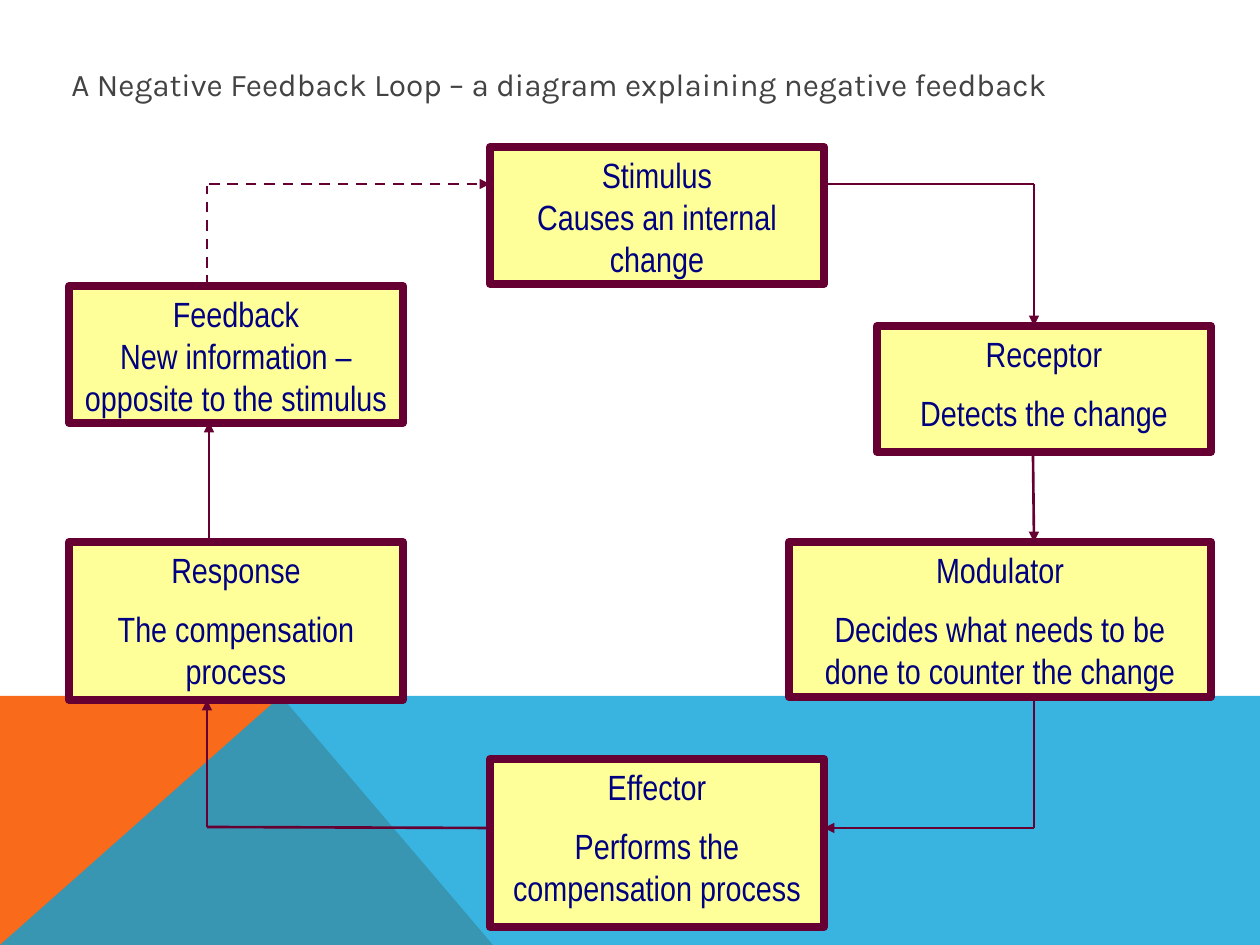
import pptx
import pptx.dml.color
import pptx.enum.dml
import pptx.enum.shapes
import pptx.enum.text
import pptx.oxml
import pptx.oxml.ns
import pptx.util
from dataclasses import dataclass
from lxml import etree


@dataclass(frozen=True)
class Theme:
    orange: str = "F96A1B"
    blue: str = "08A1D9"
    box_fill: str = "FFFF99"
    maroon: str = "660033"
    navy: str = "000080"
    title_grey: str = "434342"
    box_font: str = "Arial Narrow"
    title_font: str = "Karla"
    box_size: int = 20
    title_size: int = 18
    border: float = 4.5
    arrow: float = 1.5


theme = Theme()
EMU_PER_PX = 914400 / 126


def px(*lengths):
    return [pptx.util.Emu(round(length * EMU_PER_PX)) for length in lengths]


def write_text(frame, *lines, font, size, color, align=None, space_after=0):
    frame.word_wrap = True
    frame.vertical_anchor = pptx.enum.text.MSO_ANCHOR.TOP
    for index, line in enumerate(lines):
        paragraph = frame.paragraphs[0] if index == 0 else frame.add_paragraph()
        paragraph.alignment = align
        paragraph.space_after = pptx.util.Pt(space_after)
        run = paragraph.add_run()
        run.text = line
        run.font.name = font
        run.font.size = pptx.util.Pt(size)
        run.font.color.rgb = pptx.dml.color.RGBColor.from_string(color)


deck = pptx.Presentation()
deck.slide_width, deck.slide_height = px(1260, 945)
slide = deck.slides.add_slide(deck.slide_layouts[6])
shapes = slide.shapes

# Coloured bands along the bottom: outline, colour, opacity in percent
bands = [
    ([(0, 945), (0, 696), (281, 696), (493, 945)], theme.orange, 100),
    ([(0, 945), (281, 696), (1260, 696), (1260, 945)], theme.blue, 80),
]
for corners, color, opacity in bands:
    builder = shapes.build_freeform(*corners[0], scale=EMU_PER_PX)
    builder.add_line_segments(corners[1:], close=True)
    band = builder.convert_to_shape()
    band.shadow.inherit = False
    band.line.fill.background()
    band.fill.solid()
    band.fill.fore_color.rgb = pptx.dml.color.RGBColor.from_string(color)
    if opacity < 100:
        srgb = band.fill._xPr.find(".//" + pptx.oxml.ns.qn("a:srgbClr"))
        etree.SubElement(srgb, pptx.oxml.ns.qn("a:alpha"), val=str(opacity * 1000))

# Stages of the loop: left, top, width, height, gap after each line, name, role
stages = [
    (490, 147, 334, 137, 0, "Stimulus", "Causes an internal change"),
    (877, 326, 334, 126, 10, "Receptor", "Detects the change"),
    (789, 542, 422, 155, 10, "Modulator",
     "Decides what needs to be done to counter the change"),
    (490, 759, 334, 168, 10, "Effector", "Performs the compensation process"),
    (69, 542, 334, 158, 10, "Response", "The compensation process"),
    (69, 286, 334, 137, 0, "Feedback",
     "New information – opposite to the stimulus"),
]
for left, top, width, height, gap, name, role in stages:
    stage = shapes.add_shape(pptx.enum.shapes.MSO_SHAPE.RECTANGLE,
                             *px(left, top, width, height))
    stage.shadow.inherit = False
    stage.fill.solid()
    stage.fill.fore_color.rgb = pptx.dml.color.RGBColor.from_string(theme.box_fill)
    stage.line.color.rgb = pptx.dml.color.RGBColor.from_string(theme.maroon)
    stage.line.width = pptx.util.Pt(theme.border)
    write_text(stage.text_frame, name, role, font=theme.box_font,
               size=theme.box_size, color=theme.navy, space_after=gap,
               align=pptx.enum.text.PP_ALIGN.CENTER)

# Links between stages: start x, start y, end x, end y, arrowhead, dashed
links = [
    (824, 184, 1034, 184, False, False),
    (1034, 184, 1034, 326, True, False),
    (1033, 452, 1034, 542, True, False),
    (1034, 697, 1034, 828, False, False),
    (1034, 828, 824, 828, True, False),
    (490, 828, 207, 827, False, False),
    (207, 827, 207, 700, True, False),
    (209, 542, 209, 422, True, False),
    (207, 286, 207, 186, False, True),
    (209, 184, 490, 184, True, True),
]
for *ends, arrowhead, dashed in links:
    link = shapes.add_connector(pptx.enum.shapes.MSO_CONNECTOR.STRAIGHT, *px(*ends))
    link.line.color.rgb = pptx.dml.color.RGBColor.from_string(theme.maroon)
    link.line.width = pptx.util.Pt(theme.arrow)
    if dashed:
        link.line.dash_style = pptx.enum.dml.MSO_LINE.DASH
    if arrowhead:
        etree.SubElement(link.line._get_or_add_ln(),
                         pptx.oxml.ns.qn("a:tailEnd"), type="triangle")
    etree.SubElement(link._element.spPr, pptx.oxml.ns.qn("a:effectLst"))

title = shapes.add_textbox(*px(59, 59, 1162, 49))
write_text(title.text_frame,
           "A Negative Feedback Loop – a diagram explaining negative feedback",
           font=theme.title_font, size=theme.title_size, color=theme.title_grey)
title.text_frame.auto_size = pptx.enum.text.MSO_AUTO_SIZE.SHAPE_TO_FIT_TEXT

deck.save("out.pptx")
